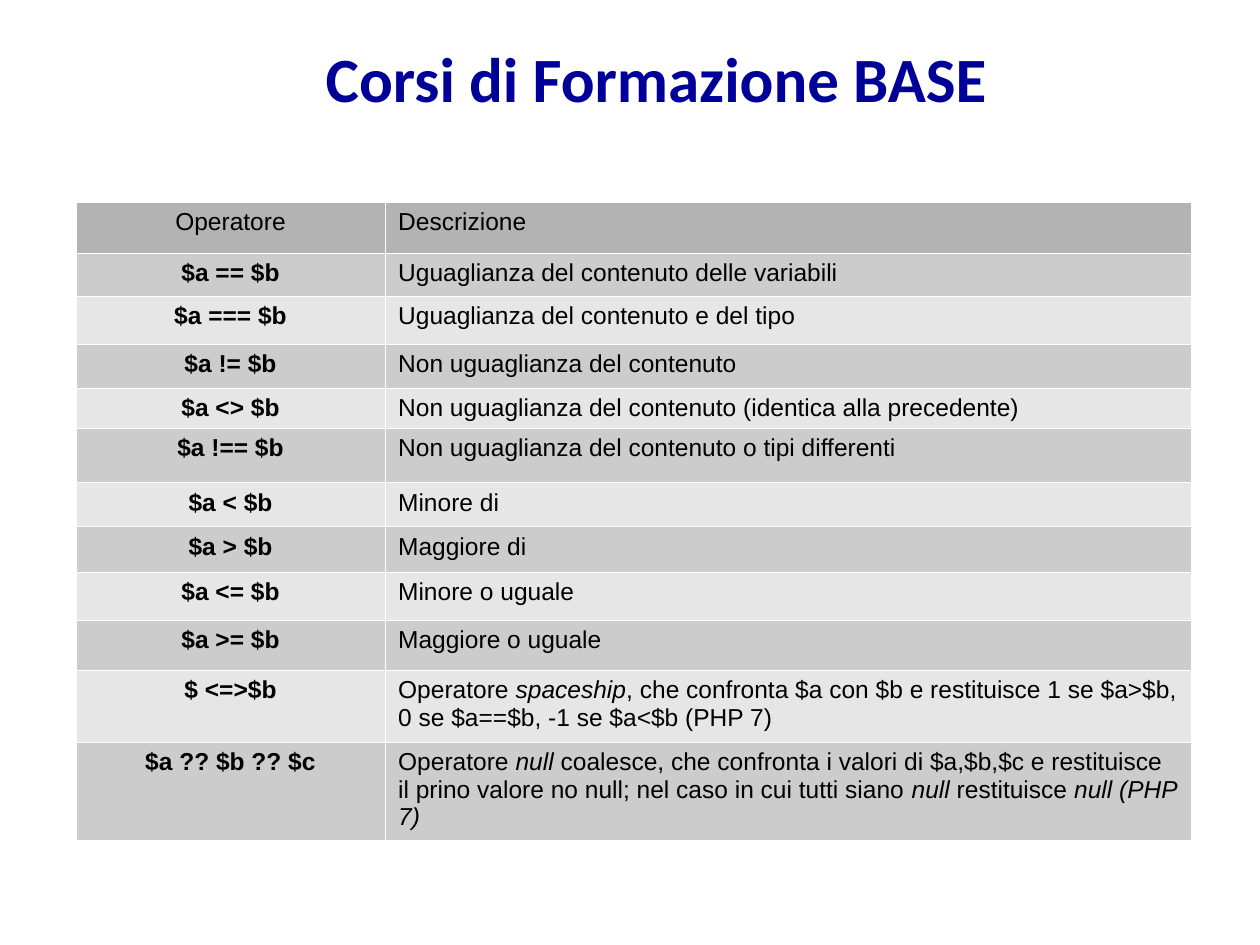
import pptx
import pptx.util
import pptx.dml.color
import pptx.enum.text
from lxml import etree
from pptx.util import Inches

COLORS = {"title": "000099", "text": "000000", "border": "FFFFFF",
          "header": "B3B3B3", "dark": "CCCCCC", "light": "E6E6E6"}
NS = "http://schemas.openxmlformats.org/drawingml/2006/main"
ALIGN = pptx.enum.text.PP_ALIGN

COL_WIDTHS = [2.46, 6.39]
# Row height, operator, description (*...* marks italics)
ROWS = [
    (0.41, "Operatore", "Descrizione"),
    (0.34, "$a == $b", "Uguaglianza del contenuto delle variabili"),
    (0.38, "$a === $b", "Uguaglianza del contenuto e del tipo"),
    (0.35, "$a != $b", "Non uguaglianza del contenuto"),
    (0.32, "$a <> $b", "Non uguaglianza del contenuto (identica alla precedente)"),
    (0.43, "$a !== $b", "Non uguaglianza del contenuto o tipi differenti"),
    (0.35, "$a < $b", "Minore di"),
    (0.36, "$a > $b", "Maggiore di"),
    (0.38, "$a <= $b", "Minore o uguale"),
    (0.40, "$a >= $b", "Maggiore o uguale"),
    (0.57, "$ <=>$b", "Operatore *spaceship*, che confronta $a con $b e restituisce "
                      "1 se $a>$b, 0 se $a==$b, -1 se $a<$b (PHP 7)"),
    (0.78, "$a ?? $b ?? $c", "Operatore *null* coalesce, che confronta i valori di "
                             "$a,$b,$c e restituisce il prino valore no null; nel caso "
                             "in cui tutti siano *null* restituisce *null (PHP 7)*"),
]


def rgb(name):
    return pptx.dml.color.RGBColor.from_string(COLORS[name])


def set_font(p, name, size, color, bold=False):
    p.font.name = name
    p.font.size = pptx.util.Pt(size)
    p.font.bold = bold
    p.font.color.rgb = rgb(color)


def set_margins(box):
    box.margin_left = box.margin_right = Inches(0.1)
    box.margin_top = box.margin_bottom = Inches(0.05)


def add_title(s, text, x, y, w, h):
    sp = s.shapes.title
    sp.left, sp.top, sp.width, sp.height = map(Inches, (x, y, w, h))
    tf = sp.text_frame
    tf.text = text
    tf.word_wrap = True
    tf.vertical_anchor = pptx.enum.text.MSO_ANCHOR.MIDDLE
    set_margins(tf)
    p = tf.paragraphs[0]
    p.alignment = ALIGN.CENTER
    set_font(p, "Calibri", 36, "title", bold=True)


def add_borders(cell):
    tc_pr = cell._tc.get_or_add_tcPr()
    for i, side in enumerate(("lnL", "lnR", "lnT", "lnB")):
        ln = etree.Element(f"{{{NS}}}{side}", w=str(pptx.util.Pt(0.06)))
        fill = etree.SubElement(ln, f"{{{NS}}}solidFill")
        etree.SubElement(fill, f"{{{NS}}}srgbClr", val=COLORS["border"])
        tc_pr.insert(i, ln)


def fill_cell(cell, text, fill, align, bold):
    cell.fill.solid()
    cell.fill.fore_color.rgb = rgb(fill)
    set_margins(cell)
    add_borders(cell)
    p = cell.text_frame.paragraphs[0]
    p.alignment = align
    set_font(p, "Arial", 14, "text", bold)
    for i, part in enumerate(text.split("*")):
        if part:
            r = p.add_run()
            r.text = part
            if i % 2:
                r.font.italic = True


def add_operator_table(s, x, y, w, h):
    table = s.shapes.add_table(len(ROWS), len(COL_WIDTHS),
                               *map(Inches, (x, y, w, h))).table
    for column, width in zip(table.columns, COL_WIDTHS):
        column.width = Inches(width)
    for i, (height, operator, description) in enumerate(ROWS):
        table.rows[i].height = Inches(height)
        fill = "header" if i == 0 else "dark" if i % 2 else "light"
        fill_cell(table.cell(i, 0), operator, fill, ALIGN.CENTER, bold=i > 0)
        fill_cell(table.cell(i, 1), description, fill, ALIGN.LEFT, bold=False)


def main():
    prs = pptx.Presentation()
    prs.slide_width, prs.slide_height = Inches(10), Inches(7.5)
    s = prs.slides.add_slide(prs.slide_layouts[5])
    add_title(s, "Corsi di Formazione BASE", 0.72, 0, 8.98, 1.23)
    add_operator_table(s, 0.6, 1.6, sum(COL_WIDTHS), sum(row[0] for row in ROWS))
    prs.save("out.pptx")


if __name__ == "__main__":
    main()
